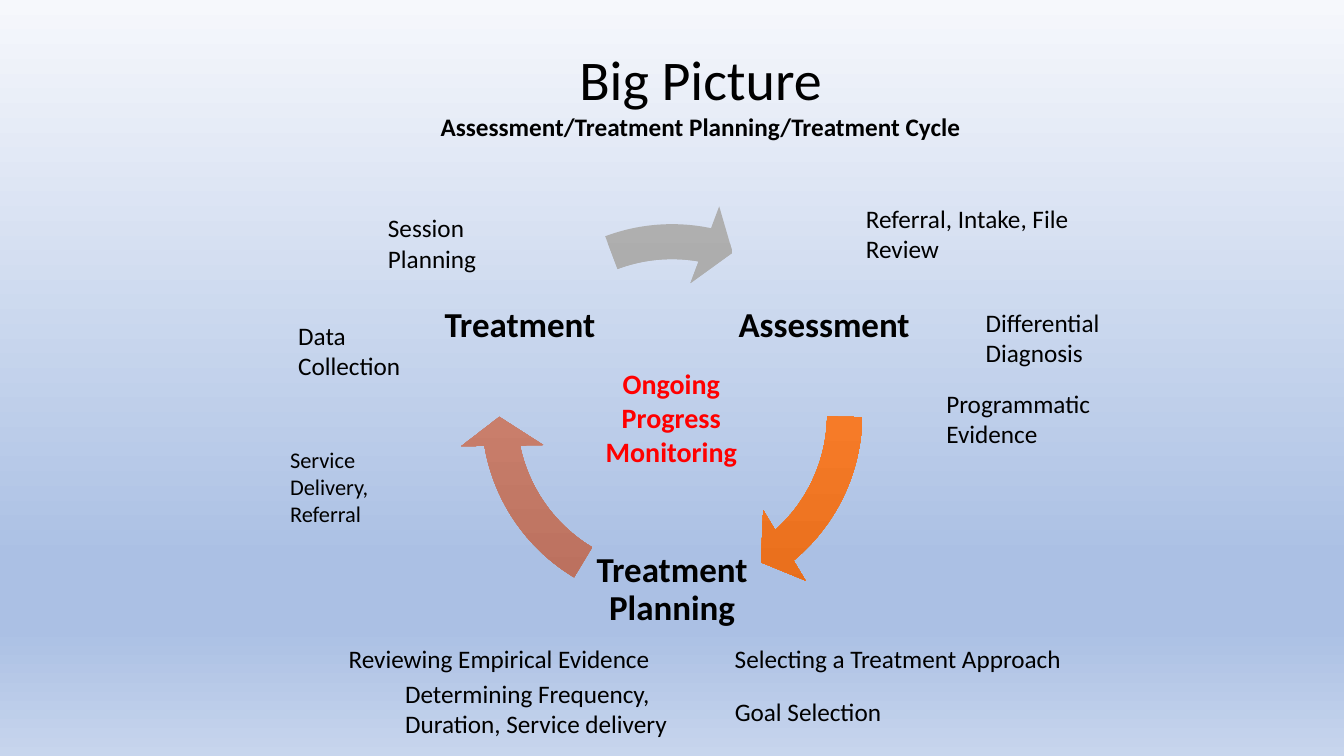
from dataclasses import dataclass
from math import cos, radians, sin

from lxml.etree import SubElement
from pptx import Presentation
from pptx.dml.color import RGBColor
from pptx.enum.shapes import MSO_SHAPE
from pptx.enum.text import MSO_ANCHOR, MSO_AUTO_SIZE, PP_ALIGN
from pptx.oxml.ns import qn
from pptx.util import Inches, Pt


@dataclass(frozen=True)
class Theme:
    """Colours, font and type sizes of the slide."""
    font: str = "Calibri"
    ink: str = "000000"
    accent: str = "FF0000"
    background: tuple = ((0, "F6F8FC"), (74, "ABC0E4"), (83, "ABC0E4"), (100, "C7D5ED"))
    orange: tuple = ((0, "F18C57"), (50, "F67B28"), (100, "E56C19"))
    rust: tuple = ((0, "CB8F81"), (50, "C97E6B"), (100, "B76D5B"))
    grey: tuple = ((0, "AFAFAF"), (50, "A5A5A5"), (100, "939393"))
    title: float = 40
    stage: float = 25
    centre: float = 20
    body: float = 18
    small: float = 16


@dataclass(frozen=True)
class Box:
    """A place on the slide, in percent of its width and height."""
    x: float
    y: float
    w: float
    h: float

    def emu(self) -> tuple:
        """Return left, top, width and height as lengths."""
        return (int(W * self.x / 100), int(H * self.y / 100),
                int(W * self.w / 100), int(H * self.h / 100))


@dataclass(frozen=True)
class Label:
    """A note beside the cycle."""
    text: str
    box: Box
    size: float


@dataclass(frozen=True)
class Stage:
    """A stage at an angle on the cycle, and the arrow that follows it."""
    text: str
    angle: float
    start: float
    end: float
    colors: tuple


T = Theme()
W, H = Inches(13.33), Inches(7.5)
CX, CY = 50, 54.8
RADIUS, NODE, RING = 13.07, 13.43, 31.8  # shares of the slide's width
ONE_LINE, TWO_LINES, THREE_LINES = 5.33, 9.47, 12.13

STAGES = [
    Stage("Assessment", -30, 0.86, 49.4, T.orange),
    Stage("Treatment Planning", 90, 121, 169.54, T.rust),
    Stage("Treatment", 210, 249.45, 280.95, T.grey),
]
LABELS = [
    Label("Referral, Intake, File Review", Box(63.68, 26.27, 17.93, TWO_LINES), T.body),
    Label("Differential Diagnosis", Box(72.6, 40, 12.45, TWO_LINES), T.body),
    Label("Programmatic Evidence", Box(69.68, 50.67, 13.13, TWO_LINES), T.body),
    Label("Reviewing Empirical Evidence", Box(25.2, 84.4, 26.93, ONE_LINE), T.body),
    Label("Selecting a Treatment Approach", Box(53.93, 84.4, 28.88, ONE_LINE), T.body),
    Label("Determining Frequency, Duration, Service delivery",
          Box(29.4, 89.07, 24.53, TWO_LINES), T.body),
    Label("Goal Selection", Box(53.93, 91.47, 23.63, ONE_LINE), T.body),
    Label("Session Planning", Box(28.13, 27.47, 10.58, TWO_LINES), T.body),
    Label("Data Collection", Box(21.45, 41.73, 10.5, TWO_LINES), T.body),
    Label("Service Delivery, Referral", Box(20.85, 58.4, 11.1, THREE_LINES), T.small),
]


def square(cx: float, cy: float, side: float) -> Box:
    """Return a square around a centre; the side is a share of the width."""
    h = side * W / H
    return Box(cx - side / 2, cy - h / 2, side, h)


def paint_gradient(fill, element, stops: tuple) -> None:
    """Fill an element with a gradient from top to bottom."""
    fill.gradient()
    fill.gradient_angle = 270
    gs_list = next(element.iter(qn("a:gsLst")))
    for gs in list(gs_list):
        gs_list.remove(gs)
    for pos, color in stops:
        gs = SubElement(gs_list, qn("a:gs"), pos=str(pos * 1000))
        SubElement(gs, qn("a:srgbClr"), val=color)


def add_text(s, box: Box, *lines: tuple, color: str = T.ink, align=PP_ALIGN.LEFT):
    """Add a text box with one paragraph per (text, size, bold) line."""
    tf = s.shapes.add_textbox(*box.emu()).text_frame
    tf.word_wrap = True
    tf.auto_size = MSO_AUTO_SIZE.SHAPE_TO_FIT_TEXT
    for i, (text, size, bold) in enumerate(lines):
        p = tf.add_paragraph() if i else tf.paragraphs[0]
        p.alignment = align
        r = p.add_run()
        r.text = text
        r.font.name, r.font.size, r.font.bold = T.font, Pt(size), bold
        r.font.color.rgb = RGBColor.from_string(color)
    return tf


def add_stage(s, stage: Stage) -> None:
    """Add the name of a stage and its curved arrow."""
    a = radians(stage.angle)
    node = square(CX + RADIUS * cos(a), CY + RADIUS * sin(a) * W / H, NODE)
    tf = add_text(s, node, (stage.text, T.stage, True), align=PP_ALIGN.CENTER)
    tf.auto_size = MSO_AUTO_SIZE.NONE
    tf.vertical_anchor = MSO_ANCHOR.MIDDLE
    tf.margin_left = tf.margin_right = tf.margin_top = tf.margin_bottom = Inches(0.03)
    tf.paragraphs[0].line_spacing = 0.9

    sp = s.shapes.add_shape(MSO_SHAPE.CIRCULAR_ARROW, *square(CX, CY, RING).emu())
    sp.shadow.inherit = False
    sp.line.fill.background()
    paint_gradient(sp.fill, sp.element, stage.colors)
    # One degree is 0.6 in adjustment units.
    values = (0.082, 9.6 * 0.6, stage.end * 0.6, stage.start * 0.6, 0.096)
    for i, value in enumerate(values):
        sp.adjustments[i] = value


def main() -> None:
    """Build the slide and save it."""
    prs = Presentation()
    prs.slide_width, prs.slide_height = W, H
    s = prs.slides.add_slide(prs.slide_layouts[6])
    paint_gradient(s.background.fill, s.element, T.background)
    for stage in STAGES:
        add_stage(s, stage)
    add_text(s, Box(21.45, 5.2, 61.35, 14.4), ("Big Picture", T.title, False),
             ("Assessment/Treatment Planning/Treatment Cycle", T.body, True),
             align=PP_ALIGN.CENTER)
    add_text(s, Box(42.75, 47.87, 14.4, 14.8),
             ("Ongoing Progress Monitoring", T.centre, True),
             color=T.accent, align=PP_ALIGN.CENTER)
    for label in LABELS:
        add_text(s, label.box, (label.text, label.size, False))
    prs.save("out.pptx")


main()
